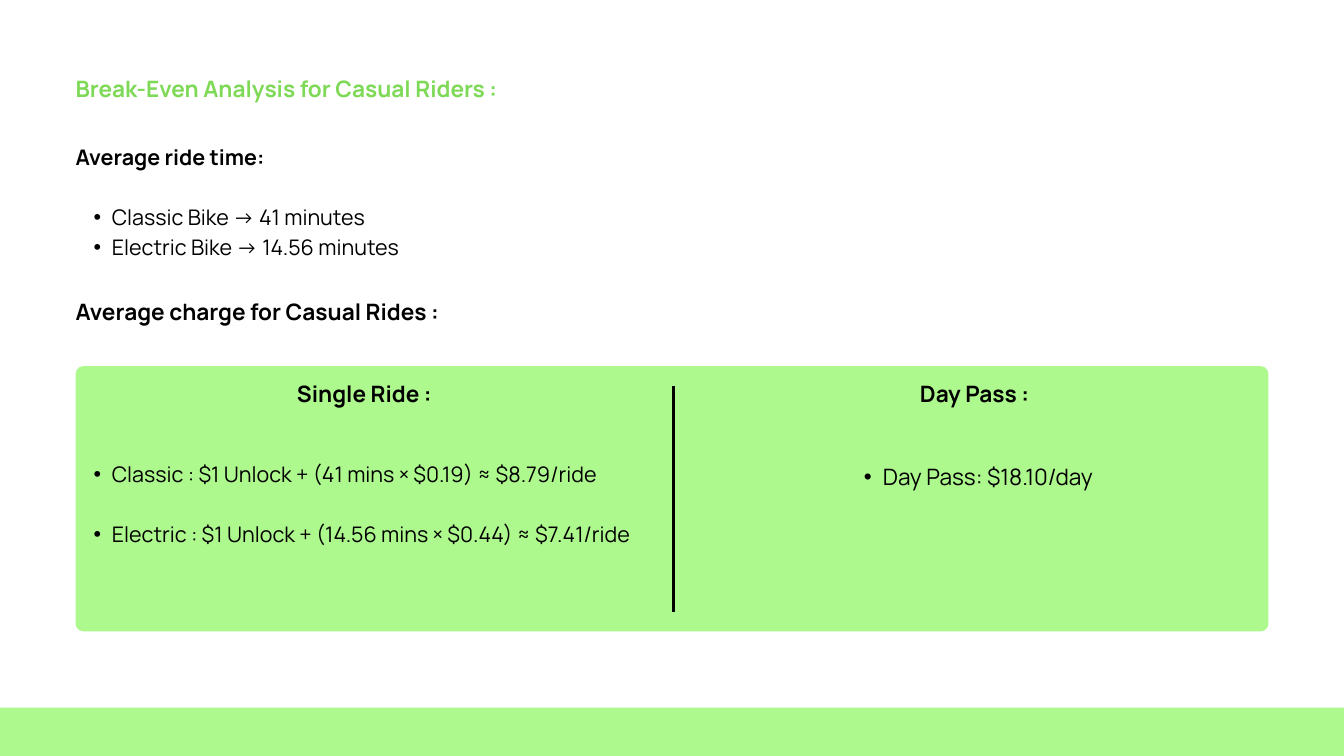
import pptx
import pptx.dml.color
import pptx.enum.shapes
import pptx.enum.text
import pptx.oxml.ns
import pptx.util
from lxml import etree

Pt = pptx.util.Pt
COLORS = {"black": "000000", "heading": "7ED957", "panel": "AEF98E"}
FONT = "Manrope"
SLIDE_WIDTH, SLIDE_HEIGHT = 1440, 810
MARGIN = 81
HEADING_SIZE, HEADING_LINE = 24.2, 33.9
BODY_SIZE, BODY_LINE = 23, 32.2


def rgb(name):
    return pptx.dml.color.RGBColor.from_string(COLORS[name])


def add_panel(slide, kind, left, top, width, height):
    shape = slide.shapes.add_shape(kind, Pt(left), Pt(top), Pt(width), Pt(height))
    shape.shadow.inherit = False
    shape.fill.solid()
    shape.fill.fore_color.rgb = rgb("panel")
    shape.line.fill.background()
    return shape


def add_text_frame(slide, left, top, width, height):
    frame = slide.shapes.add_textbox(Pt(left), Pt(top), Pt(width), Pt(height)).text_frame
    frame.word_wrap = True
    frame.margin_left = frame.margin_right = frame.margin_top = frame.margin_bottom = 0
    return frame


def set_bullet(paragraph, indent):
    paragraph.level = 1
    properties = paragraph._p.get_or_add_pPr()
    properties.set("marL", str(Pt(indent)))
    properties.set("indent", str(-Pt(indent / 2)))
    font = etree.SubElement(properties, pptx.oxml.ns.qn("a:buFont"))
    font.set("typeface", "Arial")
    etree.SubElement(properties, pptx.oxml.ns.qn("a:buChar")).set("char", "•")


def write_paragraph(paragraph, text, size, line, bold=False, color="black", indent=0, before=0):
    if indent:
        set_bullet(paragraph, indent)
    paragraph.line_spacing = Pt(line)
    if before:
        paragraph.space_before = Pt(before)
    run = paragraph.add_run()
    run.text = text
    run.font.name = FONT
    run.font.size = Pt(size)
    run.font.bold = bold
    run.font.color.rgb = rgb(color)


def add_large_line(slide, text, left, top, width, bold=True, color="black", indent=0):
    paragraph = add_text_frame(slide, left, top, width, HEADING_LINE).paragraphs[0]
    paragraph.alignment = pptx.enum.text.PP_ALIGN.JUSTIFY
    write_paragraph(paragraph, text, HEADING_SIZE, HEADING_LINE, bold, color, indent)


def add_body(slide, left, top, width, lines):
    frame = add_text_frame(slide, left, top, width, 126)
    for index, (text, bold, indent, before) in enumerate(lines):
        paragraph = frame.add_paragraph() if index else frame.paragraphs[0]
        write_paragraph(paragraph, text, BODY_SIZE, BODY_LINE, bold, indent=indent, before=before)


def add_divider(slide, x, top, bottom):
    line = slide.shapes.add_connector(
        pptx.enum.shapes.MSO_CONNECTOR.STRAIGHT, Pt(x), Pt(top), Pt(x), Pt(bottom)
    )
    line.line.color.rgb = rgb("black")
    line.line.width = Pt(3)
    etree.SubElement(line._element.spPr, pptx.oxml.ns.qn("a:effectLst"))


def main():
    presentation = pptx.Presentation()
    presentation.slide_width = Pt(SLIDE_WIDTH)
    presentation.slide_height = Pt(SLIDE_HEIGHT)
    slide = presentation.slides.add_slide(presentation.slide_layouts[6])
    shapes = pptx.enum.shapes.MSO_SHAPE

    footer_top = 758.2
    add_panel(slide, shapes.RECTANGLE, 0, footer_top, SLIDE_WIDTH, SLIDE_HEIGHT - footer_top)
    add_large_line(slide, "Break-Even Analysis for Casual Riders :", MARGIN, 75.6, 487, color="heading")
    add_body(slide, MARGIN, 149.8, 487, [
        ("Average ride time:", True, 0, 0),
        ("Classic Bike → 41 minutes", False, 38.9, BODY_LINE),
        ("Electric Bike → 14.56 minutes", False, 38.9, 0),
    ])
    add_large_line(slide, "Average charge for Casual Rides :", MARGIN, 314.6, 419)

    card = add_panel(slide, shapes.ROUNDED_RECTANGLE, MARGIN, 392.2, SLIDE_WIDTH - 2 * MARGIN, 284.4)
    card.adjustments[0] = 0.03
    add_large_line(slide, "Single Ride :", 318.2, 401.8, 149)
    add_large_line(slide, "Day Pass :", 985.7, 401.8, 126)
    add_body(slide, MARGIN, 489.6, 623, [
        ("Classic : $1 Unlock + (41 mins × $0.19) ≈ $8.79/ride", False, 38.9, 0),
        ("Electric : $1 Unlock + (14.56 mins × $0.44) ≈ $7.41/ride", False, 38.9, BODY_LINE),
    ])
    add_large_line(slide, "Day Pass: $18.10/day", 905, 491, 287, bold=False, indent=41)
    add_divider(slide, 721.5, 414, 655.2)

    presentation.save("out.pptx")


if __name__ == "__main__":
    main()
